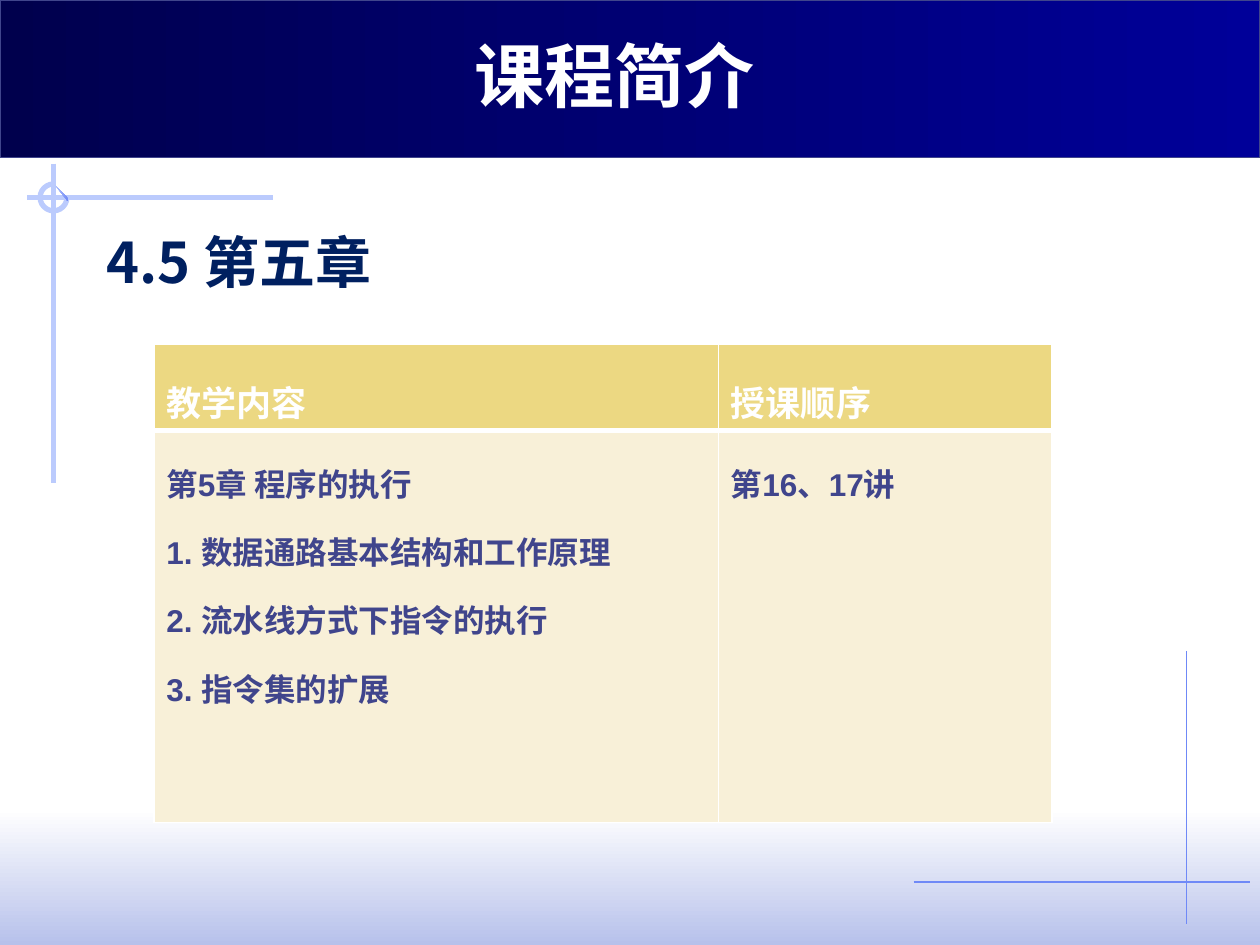
from dataclasses import dataclass

from lxml.etree import SubElement
from pptx import Presentation
from pptx.dml.color import RGBColor
from pptx.enum.shapes import MSO_CONNECTOR, MSO_SHAPE
from pptx.enum.text import MSO_ANCHOR, MSO_AUTO_SIZE, PP_ALIGN
from pptx.oxml.ns import qn
from pptx.util import Cm, Pt

CJK = "Noto Sans CJK SC"
WHITE, PALE, BLUE, INDIGO = "FFFFFF", "BBCBFD", "6F89F7", "40458C"


@dataclass
class Rule:
    x1: float
    y1: float
    x2: float
    y2: float
    color: str
    weight: float


@dataclass
class TextBox:
    text: str
    box: tuple
    font: dict
    color: str
    para: dict
    anchor: MSO_ANCHOR


@dataclass
class Row:
    height: float
    size: int
    color: str
    fill: str
    bottom: int
    cells: tuple


RULES = [
    Rule(23.92, 13.12, 23.92, 18.63, BLUE, 0.75),
    Rule(18.42, 17.78, 25.2, 17.78, BLUE, 0.75),
    Rule(5.5, 3.98, 0.55, 3.98, PALE, 3),
    Rule(1.08, 3.3, 1.08, 9.74, PALE, 3),
]

TEXTS = [
    TextBox("4.5 第五章", (1.9, 3.78, 20.96, 3.58),
            {"size": Pt(32), "bold": True, "name": CJK}, "002060",
            {"line_spacing": 1.5}, MSO_ANCHOR.TOP),
    TextBox("课程简介", (2.29, 0.53, 20.19, 1.96),
            {"size": Pt(40), "bold": True, "name": "Noto Sans CJK JP"}, WHITE,
            {"alignment": PP_ALIGN.CENTER}, MSO_ANCHOR.MIDDLE),
]
TEXTS[0].box = (1.9, 3.78, 20.96, 3.58)

COLUMNS = (11.38, 6.73)
ROWS = [
    Row(1.75, 20, WHITE, "ECD882", 3, (["教学内容"], ["授课顺序"])),
    Row(7.9, 18, INDIGO, "F8F0D8", 1, (
        ["第5章 程序的执行", "1. 数据通路基本结构和工作原理",
         "2. 流水线方式下指令的执行", "3. 指令集的扩展"],
        ["第16、17讲"])),
]


def rgb(value: str) -> RGBColor:
    return RGBColor.from_string(value)


def apply(obj, values: dict) -> None:
    for key, value in values.items():
        setattr(obj, key, value)


def add_gradient(sp, start: str, end: str, angle: int) -> None:
    sp.shadow.inherit = False
    sp.fill.gradient()
    sp.fill.gradient_angle = angle
    for stop, color in zip(sp.fill.gradient_stops, (start, end)):
        stop.color.rgb = rgb(color)


def set_line(sp, color: str, weight: float) -> None:
    sp.line.color.rgb = rgb(color)
    sp.line.width = Pt(weight)


def add_band(s, top: float, height: float, start: str, end: str, angle: int):
    sp = s.shapes.add_shape(MSO_SHAPE.RECTANGLE, 0, Cm(top), Cm(25.4), Cm(height))
    add_gradient(sp, start, end, angle)
    sp.line.fill.background()
    return sp


def add_rule(s, rule: Rule) -> None:
    ends = (Cm(v) for v in (rule.x1, rule.y1, rule.x2, rule.y2))
    cxn = s.shapes.add_connector(MSO_CONNECTOR.STRAIGHT, *ends)
    set_line(cxn, rule.color, rule.weight)
    SubElement(cxn._element.spPr, qn("a:effectLst"))


def write(p, text: str, font: dict, color: str, para: dict, east: str) -> None:
    apply(p, para)
    r = p.add_run()
    r.text = text
    apply(r.font, font)
    r.font.color.rgb = rgb(color)
    SubElement(r.font._element, qn("a:ea"), typeface=east)


def add_text(s, item: TextBox) -> None:
    tf = s.shapes.add_textbox(*(Cm(v) for v in item.box)).text_frame
    apply(tf, {"word_wrap": True, "vertical_anchor": item.anchor,
               "auto_size": MSO_AUTO_SIZE.SHAPE_TO_FIT_TEXT})
    write(tf.paragraphs[0], item.text, item.font, item.color, item.para,
          item.font["name"])


def set_borders(cell, bottom: int) -> None:
    tc_pr = cell._tc.get_or_add_tcPr()
    widths = {"a:lnL": 1, "a:lnR": 1, "a:lnT": 1, "a:lnB": bottom}
    for i, (tag, width) in enumerate(widths.items()):
        ln = tc_pr.makeelement(qn(tag), {"w": str(Pt(width))})
        fill = SubElement(ln, qn("a:solidFill"))
        SubElement(fill, qn("a:srgbClr"), val=WHITE)
        tc_pr.insert(i, ln)


def add_schedule(s) -> None:
    table = s.shapes.add_table(
        len(ROWS), len(COLUMNS), Cm(3.1), Cm(6.93), Cm(sum(COLUMNS)),
        Cm(sum(row.height for row in ROWS))).table
    for col, width in zip(table.columns, COLUMNS):
        col.width = Cm(width)
    for i, row in enumerate(ROWS):
        table.rows[i].height = Cm(row.height)
        font = {"size": Pt(row.size), "bold": True, "name": "Arial"}
        for j, lines in enumerate(row.cells):
            cell = table.cell(i, j)
            cell.fill.solid()
            cell.fill.fore_color.rgb = rgb(row.fill)
            # The lower row meets the thick line under the header
            set_borders(cell, row.bottom)
            tf = cell.text_frame
            for n, line in enumerate(lines):
                p = tf.add_paragraph() if n else tf.paragraphs[0]
                write(p, line, font, row.color, {"line_spacing": 1.5}, CJK)


def add_ring(s) -> None:
    # Three-quarter ring where the pale rules cross
    ring = s.shapes.add_shape(MSO_SHAPE.ARC, Cm(0.81), Cm(3.71), Cm(0.54), Cm(0.54))
    ring.adjustments[0] = 0
    ring.adjustments[1] = 162  # 270 degrees
    ring.shadow.inherit = False
    ring.fill.background()
    set_line(ring, PALE, 3)
    # Thin sliver closing the ring
    fb = s.shapes.build_freeform(Cm(1.35), Cm(3.98))
    fb.add_line_segments([(Cm(1.37), Cm(4.06)), (Cm(1.09), Cm(3.71))])
    sliver = fb.convert_to_shape()
    add_gradient(sliver, PALE, BLUE, 0)
    sliver.line.fill.background()


def main() -> None:
    prs = Presentation()
    prs.slide_width, prs.slide_height = Cm(25.4), Cm(19.05)
    s = prs.slides.add_slide(prs.slide_layouts[6])

    # Background decoration
    add_band(s, 16.31, 2.74, WHITE, "B7C1EB", 270)
    for rule in RULES:
        add_rule(s, rule)
    add_ring(s)
    banner = add_band(s, 0, 3.18, "00004D", "000099", 0)
    set_line(banner, INDIGO, 0.75)

    # Heading, title and schedule
    for item in TEXTS:
        add_text(s, item)
    add_schedule(s)
    prs.save("out.pptx")


if __name__ == "__main__":
    main()
